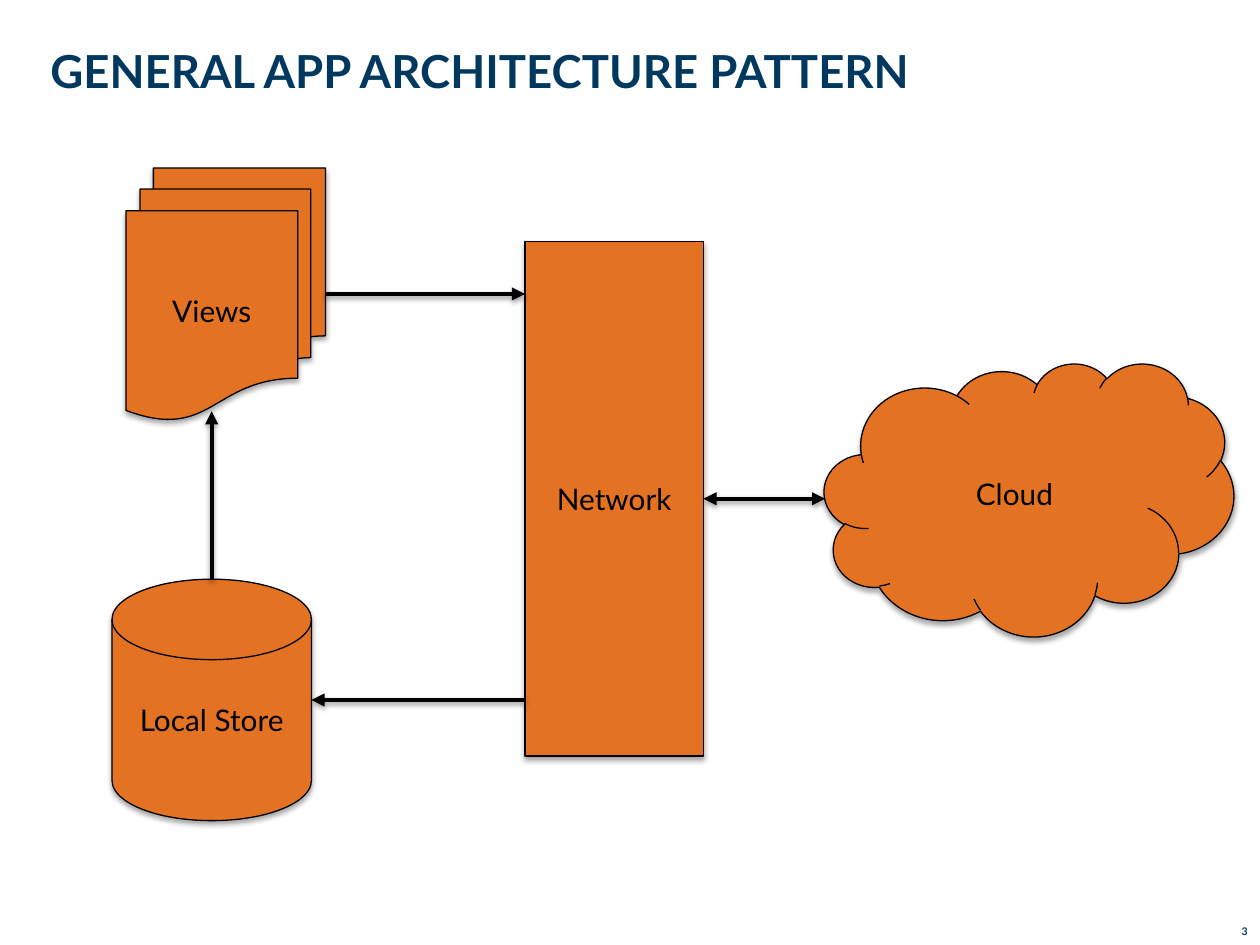
from dataclasses import dataclass

from lxml.etree import SubElement
from pptx import Presentation
from pptx.dml.color import RGBColor
from pptx.enum.shapes import MSO_CONNECTOR as Link, MSO_SHAPE as Shape
from pptx.enum.text import MSO_ANCHOR as Anchor, PP_ALIGN as Align
from pptx.oxml.ns import qn
from pptx.util import Pt


@dataclass(frozen=True)
class Theme:
    font: str = "Lato"
    navy: str = "00385F"
    orange: str = "E37222"
    black: str = "000000"
    title_size: float = 26
    label_size: float = 17
    number_size: float = 6
    outline: float = 0.75
    arrow: float = 2.5


THEME = Theme()
PAGE_SIZE = (720, 540)
TITLE = ("GENERAL APP ARCHITECTURE PATTERN", (28.8, 0, 662.4, 59))
PAGE_NUMBER = ("3", (680.4, 527, 39.6, 10.8))

NODES = [
    ("Views", Shape.FLOWCHART_MULTIDOCUMENT, (72, 96, 114, 144)),
    ("Cloud", Shape.CLOUD, (471, 207.5, 234, 156)),
    ("Local Store", Shape.FLOWCHART_MAGNETIC_DISK, (64, 331, 114, 138)),
    ("Network", Shape.RECTANGLE, (300, 138, 102, 294)),
]

ARROWS = [
    ((186, 168), (300, 168), ("tailEnd",), None),
    ((402, 285), (471.5, 285), ("headEnd", "tailEnd"), ("Network", 3)),
    ((300, 400), (178, 400), ("tailEnd",), None),
    ((121, 331), (121, 235), ("tailEnd",), None),
]


def points(values):
    return [Pt(value) for value in values]


def format_text(frame, text, size, color, align, anchor, bold=False):
    frame.text = text
    frame.word_wrap = True
    frame.vertical_anchor = anchor
    para = frame.paragraphs[0]
    para.alignment = align
    font = para.runs[0].font
    font.name, font.size, font.bold = THEME.font, Pt(size), bold
    font.color.rgb = RGBColor.from_string(color)
    return para


def add_shadow(shape, distance, opacity):
    effects = SubElement(shape._element.spPr, qn("a:effectLst"))
    shadow = SubElement(effects, qn("a:outerShdw"), blurRad=str(Pt(3.1)),
                        dist=str(Pt(distance)), dir="5400000", rotWithShape="0")
    color = SubElement(shadow, qn("a:srgbClr"), val=THEME.black)
    SubElement(color, qn("a:alpha"), val=str(opacity * 1000))


def set_line(shape, width):
    shape.line.color.rgb = RGBColor.from_string(THEME.black)
    shape.line.width = Pt(width)


def add_caption(page, caption, size, align, anchor):
    text, place = caption
    frame = page.shapes.add_textbox(*points(place)).text_frame
    frame.margin_left = 0
    return frame, format_text(frame, text, size, THEME.navy, align, anchor, True)


def add_node(page, text, kind, place):
    node = page.shapes.add_shape(kind, *points(place))
    node.fill.solid()
    node.fill.fore_color.rgb = RGBColor.from_string(THEME.orange)
    set_line(node, THEME.outline)
    add_shadow(node, 1.8, 35)
    format_text(node.text_frame, text, THEME.label_size, THEME.black,
                Align.CENTER, Anchor.MIDDLE)
    return node


def add_arrow(page, start, end, heads, joint, nodes):
    arrow = page.shapes.add_connector(Link.STRAIGHT, *points(start + end))
    if joint:
        name, side = joint
        arrow.begin_connect(nodes[name], side)
    set_line(arrow, THEME.arrow)
    for head in heads:
        SubElement(arrow.line._get_or_add_ln(), qn(f"a:{head}"), type="triangle")
    add_shadow(arrow, 1.6, 38)


def main():
    deck = Presentation()
    deck.slide_width, deck.slide_height = points(PAGE_SIZE)
    page = deck.slides.add_slide(deck.slide_layouts[6])

    number_frame, _ = add_caption(page, PAGE_NUMBER, THEME.number_size,
                                  Align.RIGHT, Anchor.MIDDLE)
    number_frame.margin_top = number_frame.margin_bottom = 0
    number_frame.margin_right = Pt(7.2)
    _, title = add_caption(page, TITLE, THEME.title_size, Align.LEFT, Anchor.BOTTOM)
    title.line_spacing = 0.8

    nodes = {text: add_node(page, text, kind, place) for text, kind, place in NODES}
    for arrow in ARROWS:
        add_arrow(page, *arrow, nodes)

    deck.save("out.pptx")


if __name__ == "__main__":
    main()
